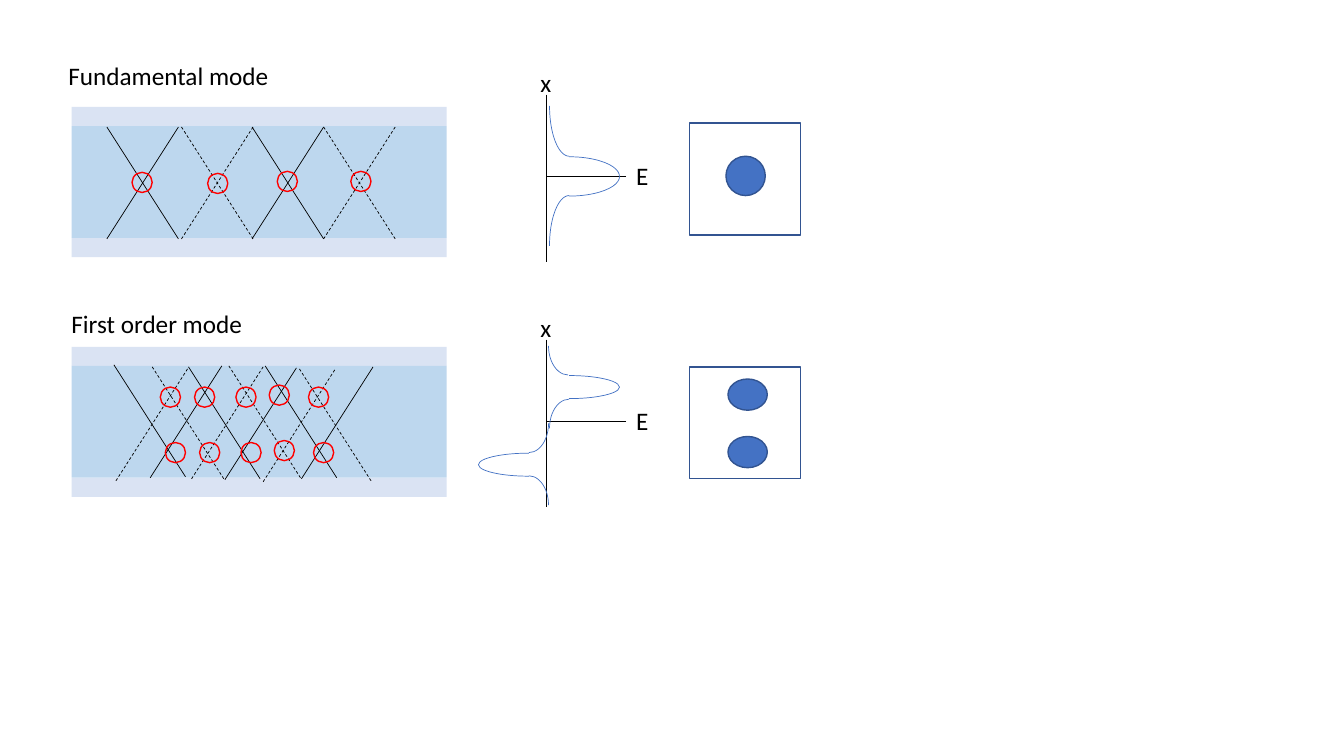
from pptx import Presentation
from pptx.dml.color import RGBColor
from pptx.enum.dml import MSO_LINE
from pptx.enum.shapes import MSO_CONNECTOR, MSO_SHAPE
from pptx.enum.text import MSO_AUTO_SIZE
from pptx.util import Inches, Pt
from lxml import etree

RECTANGLE, OVAL, ARC = MSO_SHAPE.RECTANGLE, MSO_SHAPE.OVAL, MSO_SHAPE.ARC
STRAIGHT, DASH = MSO_CONNECTOR.STRAIGHT, MSO_LINE.DASH
FIT_SHAPE = MSO_AUTO_SIZE.SHAPE_TO_FIT_TEXT
BLACK = RGBColor(0x00, 0x00, 0x00)
RED = RGBColor(0xFF, 0x00, 0x00)
BLUE = RGBColor(0x44, 0x72, 0xC4)
DARK_BLUE = RGBColor(0x32, 0x54, 0x91)
CORE = RGBColor(0xBD, 0xD7, 0xEE)
CLADDING = RGBColor(0xDA, 0xE3, 0xF3)

GUIDE_LEFT, GUIDE_WIDTH = 0.71, 3.72
CLADDING_HEIGHT, CORE_HEIGHT = 0.19, 1.11
RAY_WIDTH, RING = 0.71, 0.2
AXIS_LEFT, AXIS_LENGTH, AXIS_HEIGHT = 5.42, 0.79, 1.66

MODES = [
    {
        "title": ("Fundamental mode", 0.58, 0.55, 2.21),
        "guide_top": 1.06,
        "axis_top": 0.94,
        "window_top": 1.22,
        "falling_solid": [(1.06, 1.26), (2.5, 1.26)],
        "rising_solid": [(1.06, 1.26), (2.5, 1.26)],
        "falling_dashed": [(1.8, 1.26), (3.21, 1.26)],
        "rising_dashed": [(1.8, 1.26), (3.21, 1.26)],
        "rings": [(1.31, 1.71), (2.06, 1.72), (2.75, 1.7), (3.48, 1.7)],
        "arcs": [
            (5.45, 1.25, 0.39, 1, 90, False),
            (5.45, 1.25, 0.39, 1, 90, True),
            (5.45, 0.55, 0.39, 1, 180, False),
            (5.45, 1.94, 0.39, 1, 0, True),
        ],
        "spots": [(7.2, 1.55, 0.39, 0.39)],
    },
    {
        "title": ("First order mode", 0.61, 3.01, 1.91),
        "guide_top": 3.44,
        "axis_top": 3.37,
        "window_top": 3.64,
        "falling_solid": [(1.13, 3.62), (1.87, 3.64), (2.63, 3.63)],
        "rising_solid": [(1.49, 3.63), (2.23, 3.65), (2.99, 3.64)],
        "falling_dashed": [(1.51, 3.64), (2.27, 3.63), (2.97, 3.66)],
        "rising_dashed": [(1.15, 3.66), (1.9, 3.64), (2.61, 3.67)],
        "rings": [
            (left + shift, top + drop)
            for shift, drop in [(0, 0), (0.05, 0.55)]
            for left, top in [(1.59, 3.84), (1.93, 3.84), (2.34, 3.84), (2.67, 3.82), (3.06, 3.84)]
        ],
        "arcs": [
            (5.53, 3.34, 0.23, 1, 90, False),
            (5.53, 3.34, 0.23, 1, 90, True),
            (5.44, 3.14, 0.39, 0.58, 180, False),
            (5.45, 3.96, 0.39, 0.58, 0, True),
            (5.13, 4.11, 0.23, 1, 270, True),
            (5.13, 4.11, 0.23, 1, 270, False),
            (5.05, 3.91, 0.39, 0.58, 180, True),
            (5.05, 4.72, 0.39, 0.58, 0, False),
        ],
        "spots": [(7.22, 3.76, 0.39, 0.31), (7.22, 4.33, 0.39, 0.31)],
    },
]

deck = Presentation()
deck.slide_width, deck.slide_height = Inches(13.33), Inches(7.5)
slide = deck.slides.add_slide(deck.slide_layouts[6])


def add_figure(kind, left, top, width, height, fill=None, line=None, weight=1, rotation=0, flip=False):
    shape = slide.shapes.add_shape(kind, Inches(left), Inches(top), Inches(width), Inches(height))
    shape.shadow.inherit = False
    shape.rotation = rotation
    if flip:
        shape._element.spPr.xfrm.set("flipH", "1")
    if fill is None:
        shape.fill.background()
    else:
        shape.fill.solid()
        shape.fill.fore_color.rgb = fill
    if line is None:
        shape.line.fill.background()
    else:
        shape.line.color.rgb = line
        shape.line.width = Pt(weight)


def add_line(start_x, start_y, end_x, end_y, dash=None):
    line = slide.shapes.add_connector(STRAIGHT, Inches(start_x), Inches(start_y), Inches(end_x), Inches(end_y))
    line.line.color.rgb = BLACK
    line.line.width = Pt(0.5)
    if dash is not None:
        line.line.dash_style = dash
    etree.SubElement(line._element.spPr, "{http://schemas.openxmlformats.org/drawingml/2006/main}effectLst")


def add_text(text, left, top, width, height=0.4, size=18, font="Calibri", color=BLACK):
    box = slide.shapes.add_textbox(Inches(left), Inches(top), Inches(width), Inches(height))
    box.text_frame.word_wrap = False
    box.text_frame.auto_size = FIT_SHAPE
    span = box.text_frame.paragraphs[0].add_run()
    span.text = text
    span.font.name = font
    span.font.size = Pt(size)
    span.font.color.rgb = color


def add_rays(mode, style, dash=None):
    for left, top in mode["falling_" + style]:
        add_line(left, top, left + RAY_WIDTH, top + CORE_HEIGHT, dash)
    for left, top in mode["rising_" + style]:
        add_line(left + RAY_WIDTH, top, left, top + CORE_HEIGHT, dash)


for mode in MODES:
    core_top = mode["guide_top"] + CLADDING_HEIGHT
    for top in (mode["guide_top"], core_top + CORE_HEIGHT):
        add_figure(RECTANGLE, GUIDE_LEFT, top, GUIDE_WIDTH, CLADDING_HEIGHT, fill=CLADDING)
    add_figure(RECTANGLE, GUIDE_LEFT, core_top, GUIDE_WIDTH, CORE_HEIGHT, fill=CORE)
    add_rays(mode, "solid")
    add_rays(mode, "dashed", DASH)

    axis_top = mode["axis_top"]
    axis_middle = axis_top + 0.81
    axis_right = AXIS_LEFT + AXIS_LENGTH
    add_line(AXIS_LEFT, axis_top, AXIS_LEFT, axis_top + AXIS_HEIGHT)
    add_line(axis_right, axis_middle, AXIS_LEFT, axis_middle)
    add_text("x", AXIS_LEFT - 0.16, axis_top - 0.32, 0.31)
    add_text("E", axis_right, axis_middle - 0.21, 0.32)
    for left, top, width, height, rotation, flip in mode["arcs"]:
        add_figure(ARC, left, top, width, height, line=BLUE, weight=0.5, rotation=rotation, flip=flip)

    add_figure(RECTANGLE, 6.84, mode["window_top"], 1.1, 1.11, line=DARK_BLUE)
    for spot in mode["spots"]:
        add_figure(OVAL, *spot, fill=BLUE, line=DARK_BLUE)
    for left, top in mode["rings"]:
        add_figure(OVAL, left, top, RING, RING, line=RED)
    add_text(*mode["title"])

deck.save("out.pptx")
